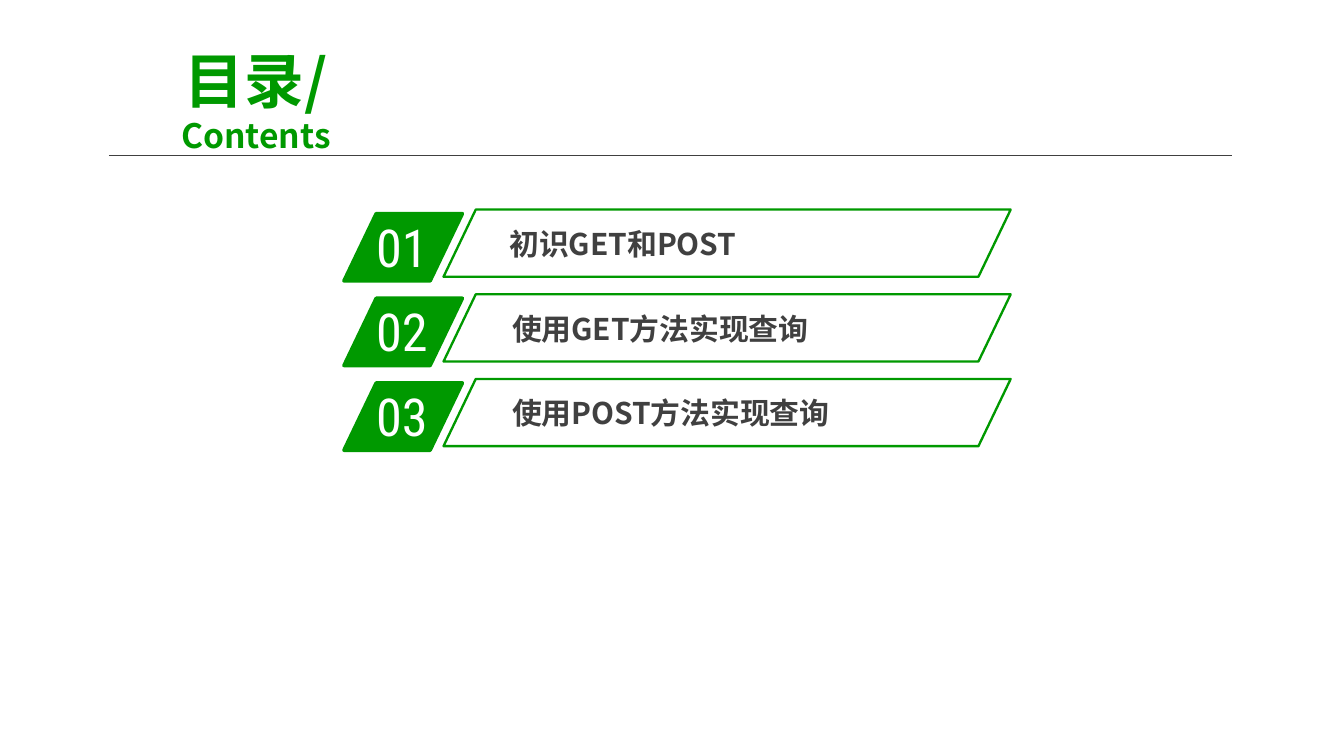
from dataclasses import dataclass

from lxml.etree import SubElement
from pptx import Presentation
from pptx.dml.color import RGBColor
from pptx.enum.shapes import MSO_CONNECTOR, MSO_SHAPE
from pptx.enum.text import MSO_ANCHOR, MSO_AUTO_SIZE, PP_ALIGN
from pptx.oxml.ns import qn
from pptx.util import Inches, Pt

GREEN, GREY, WHITE = "009900", "404040", "FFFFFF"
CJK, CONDENSED = "Noto Sans CJK SC", "Roboto Condensed"
ROW_PITCH = 0.63


@dataclass
class Item:
    number: str
    label: str
    label_left: float


ITEMS = [
    Item("01", "初识GET和POST", 3.72),
    Item("02", "使用GET方法实现查询", 3.74),
    Item("03", "使用POST方法实现查询", 3.74),
]


def rgb(value: str) -> RGBColor:
    return RGBColor.from_string(value)


def box(*lengths: float) -> list:
    return [Inches(v) for v in lengths]


def style_font(font, name: str, size: float, color: str, bold: bool = False) -> None:
    font.name, font.size, font.bold = name, Pt(size), bold
    font.color.rgb = rgb(color)


def set_east_asian_font(p, name: str) -> None:
    for r in p.runs:
        SubElement(r._r.get_or_add_rPr(), qn("a:ea"), typeface=name)


def add_title(slide) -> None:
    title = slide.shapes.title
    title.left, title.top, title.width, title.height = box(0.67, 0.47, 2.47, 0.54)
    tf = title.text_frame
    tf.vertical_anchor = MSO_ANCHOR.MIDDLE
    tf.auto_size = MSO_AUTO_SIZE.NONE
    p = tf.paragraphs[0]
    p.alignment = PP_ALIGN.CENTER
    p.line_spacing = 1.0
    style_font(p.font, CJK, 32, GREEN, True)
    p.add_run().text = "目录/"
    p.add_line_break()
    p.add_run().text = "Contents"
    for r, size in zip(p.runs, (32, 18)):
        style_font(r.font, CJK, size, GREEN, True)
    set_east_asian_font(p, CJK)


def add_rule(slide) -> None:
    line = slide.shapes.add_connector(MSO_CONNECTOR.STRAIGHT, *box(0.81, 1.16, 9.17, 1.16))
    line.line.color.rgb = rgb(GREY)
    line.line.width = Pt(0.5)
    SubElement(line._element.spPr, qn("a:effectLst"))


def add_parallelogram(slide, left: float, top: float, width: float, line_width: float):
    s = slide.shapes.add_shape(MSO_SHAPE.PARALLELOGRAM, *box(left, top, width, 0.5))
    s.adjustments[0] = 0.48
    s.fill.background()
    s.line.color.rgb = rgb(GREEN)
    s.line.width = Pt(line_width)
    s.shadow.inherit = False
    return s


def add_text(slide, text: str, lengths: list, name: str, size: float, color: str,
             bold: bool = False, insets: tuple = (0.1, 0.05)) -> None:
    tf = slide.shapes.add_textbox(*lengths).text_frame
    tf.word_wrap = True
    tf.auto_size = MSO_AUTO_SIZE.SHAPE_TO_FIT_TEXT
    tf.margin_left = tf.margin_right = Inches(insets[0])
    tf.margin_top = tf.margin_bottom = Inches(insets[1])
    p = tf.paragraphs[0]
    p.text = text
    style_font(p.font, name, size, color, bold)
    set_east_asian_font(p, name)


def add_item(slide, item: Item, offset: float) -> None:
    badge = add_parallelogram(slide, 2.56, 1.59 + offset, 0.88, 2)
    badge.fill.solid()
    badge.fill.fore_color.rgb = rgb(GREEN)
    SubElement(badge.line._get_or_add_ln(), qn("a:round"))
    add_text(slide, item.number, box(2.7, 1.55 + offset, 0.84, 0.57), CONDENSED, 28, WHITE)
    add_text(slide, item.label, box(item.label_left, 1.64 + offset, 3.37, 0.35),
             CJK, 16, GREY, True, (0.07, 0.04))
    add_parallelogram(slide, 3.3, 1.56 + offset, 4.22, 1.25)


def main() -> None:
    prs = Presentation()
    prs.slide_width = Inches(10)
    prs.slide_height = prs.slide_width * 9 // 16
    slide = prs.slides.add_slide(prs.slide_layouts[5])
    add_title(slide)
    add_rule(slide)
    for i, item in enumerate(ITEMS):
        add_item(slide, item, i * ROW_PITCH)
    prs.save("out.pptx")


if __name__ == "__main__":
    main()
